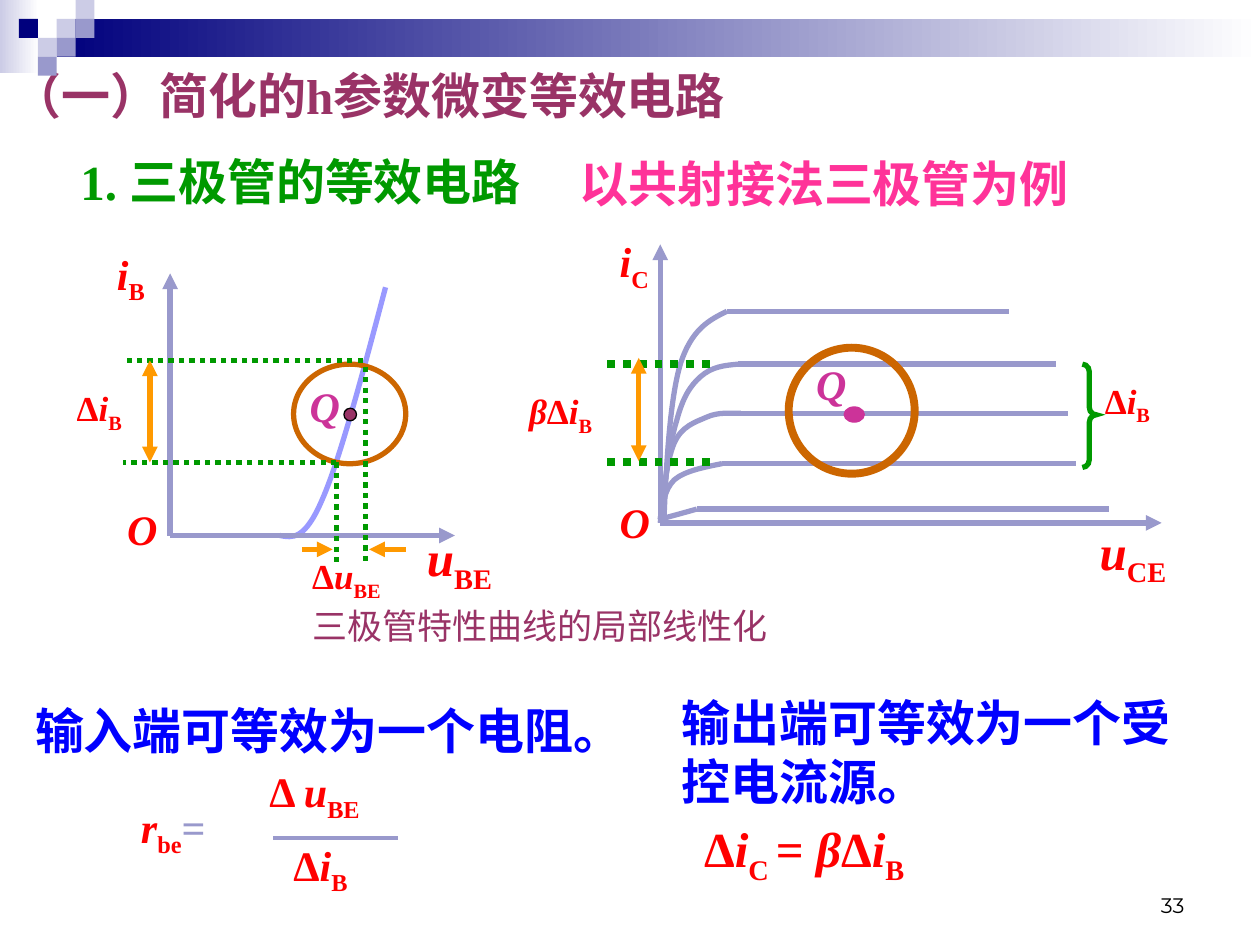
from lxml import etree
from pptx import Presentation
from pptx.dml.color import RGBColor
from pptx.enum.dml import MSO_LINE
from pptx.enum.shapes import MSO_CONNECTOR, MSO_SHAPE
from pptx.enum.text import MSO_ANCHOR, MSO_AUTO_SIZE, PP_ALIGN
from pptx.oxml.ns import qn
from pptx.util import Pt

SCALE = 9144
RECTANGLE, OVAL, BRACE = MSO_SHAPE.RECTANGLE, MSO_SHAPE.OVAL, MSO_SHAPE.RIGHT_BRACE
STRAIGHT, DOTTED = MSO_CONNECTOR.STRAIGHT, MSO_LINE.ROUND_DOT
LEFT, RIGHT = PP_ALIGN.LEFT, PP_ALIGN.RIGHT
TOP, BOTTOM = MSO_ANCHOR.TOP, MSO_ANCHOR.BOTTOM
GROWING, FIXED_SIZE = MSO_AUTO_SIZE.SHAPE_TO_FIT_TEXT, MSO_AUTO_SIZE.NONE

SERIF = "Times New Roman"
RED, GREEN, BLUE, PLUM = "FF0000", "009900", "0000FF", "993366"
AXIS, NAVY, PALE, WHITE = "9999CC", "00007D", "CCCCE6", "FFFFFF"
MAGENTA, ORANGE, BROWN = "CC3399", "FF9900", "CC6600"
DELTA_BASE_CURRENT = [("Δ", ""), ("i", "i"), ("B", "s")]
DELTA_BASE_VOLTAGE = [("u", "i"), ("BE", "s")]


def px(value):
    """Turn px, a hundred to the inch, into EMU."""
    return round(value * SCALE)


def color(hex_value):
    """Turn a hex string into a colour."""
    return RGBColor.from_string(hex_value)


def shift(origin, box):
    """Move the first two values of a box by the origin."""
    return (origin[0] + box[0], origin[1] + box[1], *box[2:])


def write(shape, runs, size, tint, bold=True, font=SERIF, align=LEFT, anchor=TOP,
          sizing=GROWING):
    """Fill a shape with runs whose style is i for italic or s for subscript."""
    frame = shape.text_frame
    frame_format = {"word_wrap": True, "auto_size": sizing, "vertical_anchor": anchor}
    for name, value in frame_format.items():
        setattr(frame, name, value)
    paragraph = frame.paragraphs[0]
    paragraph.alignment = align
    for text, style, *own_tint in runs:
        run = paragraph.add_run()
        run.text = text
        font_format = {"name": font, "size": Pt(size), "bold": bold, "italic": style == "i"}
        for name, value in font_format.items():
            setattr(run.font, name, value)
        run.font.color.rgb = color(own_tint[0] if own_tint else tint)
        if style == "s":
            run._r.get_or_add_rPr().set("baseline", "-25000")


def add_label(slide, origin, box, runs, size=24, tint=RED, **text_format):
    """Add a text box relative to the origin."""
    shape = slide.shapes.add_textbox(*map(px, shift(origin, box)))
    write(shape, runs, size, tint, **text_format)


def set_line(line, tint, width):
    """Give a line its colour and width."""
    line.color.rgb = color(tint)
    line.width = Pt(width)


def add_line(slide, origin, start, end, tint=AXIS, width=3, dotted=False, heads=()):
    """Add a straight line with triangles at the named ends."""
    ends = shift(origin, start) + shift(origin, end)
    connector = slide.shapes.add_connector(STRAIGHT, *map(px, ends))
    set_line(connector.line, tint, width)
    if dotted:
        connector.line.dash_style = DOTTED
    line_element = connector.line._get_or_add_ln()
    for head in heads:
        etree.SubElement(line_element, qn(f"a:{head}"), type="triangle")
    etree.SubElement(connector._element.spPr, qn("a:effectLst"))


def add_curve(slide, origin, points, tint=AXIS):
    """Draw joined cubic curves, each with two control points and an end."""
    points = [shift(origin, point) for point in points]
    builder = slide.shapes.build_freeform(*points[0], scale=SCALE)
    builder.add_line_segments(points[1:], close=False)
    shape = builder.convert_to_shape()
    segments = list(shape._element.iter(qn("a:lnTo")))
    outline = segments[0].getparent()
    for first in range(0, len(segments), 3):
        cubic = etree.SubElement(outline, qn("a:cubicBezTo"))
        for segment in segments[first:first + 3]:
            cubic.append(segment[0])
            outline.remove(segment)
    shape.shadow.inherit = False
    shape.fill.background()
    set_line(shape.line, tint, 3)


def add_block(slide, origin, box, kind, fill=None, line=None, width=0.75):
    """Add a preset shape; a pair of fill colours makes a gradient."""
    shape = slide.shapes.add_shape(kind, *map(px, shift(origin, box)))
    shape.shadow.inherit = False
    if isinstance(fill, tuple):
        shape.fill.gradient()
        shape.fill.gradient_angle = 0
        for stop, tint in zip(shape.fill.gradient_stops, fill):
            stop.color.rgb = color(tint)
    elif fill:
        shape.fill.solid()
        shape.fill.fore_color.rgb = color(fill)
    else:
        shape.fill.background()
    if line:
        set_line(shape.line, line, width)
    else:
        shape.line.fill.background()
    return shape


def add_header(slide, origin):
    """Draw the gradient bars and the checkered corner."""
    add_block(slide, origin, (0, 0, 31, 58), RECTANGLE, (PALE, WHITE))
    add_block(slide, origin, (45, 15, 955, 30), RECTANGLE, (NAVY, WHITE))
    squares = [(3, 1, PALE), (4, 0, PALE), (4, 1, AXIS), (2, 2, PALE),
               (1, 1, NAVY), (3, 2, AXIS), (2, 3, AXIS)]
    for column, row, tint in squares:
        add_block(slide, origin, (15 * column, 15 * row, 15, 15), RECTANGLE, tint)


def add_axes(slide, origin, zero, right, top):
    """Draw both arrowed axes from their zero point."""
    for end in ((right, zero[1]), (zero[0], top)):
        add_line(slide, origin, zero, end, heads=["tailEnd"])


def add_input_plot(slide, origin):
    """Draw the input characteristic with its working point."""
    add_curve(slide, origin, [(172, 235), (182, 237), (192, 239), (206, 206),
                              (220, 174), (238, 106), (256, 38)], "9999FF")
    add_axes(slide, origin, (85, 235), 311, 27)
    add_label(slide, origin, (33, 2, 55, 56), [("i", "i"), ("B", "s")])
    add_label(slide, origin, (279, 224, 87, 63), DELTA_BASE_VOLTAGE, 28)
    add_label(slide, origin, (41, 205, 55, 50), [("O", "i")])
    add_label(slide, origin, (1, 112, 80, 48), DELTA_BASE_CURRENT, 20)
    add_label(slide, origin, (186, 107, 53, 50), [("Q", "i")], tint=MAGENTA)
    add_block(slide, origin, (223, 134, 10, 10), OVAL, PLUM, "000000")
    add_block(slide, origin, (183, 99, 89, 79), OVAL, line=BROWN, width=3)
    for start, end in [((217, 177), (217, 256)), ((240, 101), (240, 259)),
                       ((217, 177), (48, 177)), ((238, 96), (51, 96))]:
        add_line(slide, origin, start, end, GREEN, dotted=True)
    add_line(slide, origin, (69, 96), (69, 177), ORANGE, heads=["headEnd", "tailEnd"])
    add_label(slide, origin, (188, 245, 130, 48), [("Δ", ""), *DELTA_BASE_VOLTAGE], 20)
    for start, end in ((272, 243), (190, 214)):
        add_line(slide, origin, (start, 246), (end, 246), ORANGE, heads=["tailEnd"])


def add_output_plot(slide, origin):
    """Draw the family of output characteristics with the working point."""
    family = [
        ([(114, 232), (116, 221), (117, 209), (125, 201), (133, 194), (148, 191), (163, 188)], 444),
        ([(114, 235), (117, 210), (119, 186), (125, 172), (131, 158), (142, 155), (151, 151),
          (160, 147), (169, 148), (178, 148)], 438),
        ([(114, 232), (114, 232), (129, 228), (143, 224)], 470),
        ([(114, 232), (118, 203), (121, 173), (127, 154), (132, 135), (138, 126), (146, 119),
          (155, 111), (165, 110), (176, 109)], 428),
        ([(117, 232), (119, 184), (122, 136), (130, 109), (139, 81), (153, 74), (167, 67)], 391),
    ]
    for points, right in family:
        add_curve(slide, origin, points)
        add_line(slide, origin, points[-1], (right, points[-1][1]))
    add_axes(slide, origin, (114, 235), 512, 14)
    add_label(slide, origin, (72, 209, 55, 50), [("O", "i")])
    add_label(slide, origin, (72, 2, 55, 56), [("i", "i"), ("C", "s")])
    add_label(slide, origin, (453, 229, 87, 63), [("u", "i"), ("CE", "s")], 28)
    add_block(slide, origin, (260, 143, 16, 12), OVAL, MAGENTA, MAGENTA)
    add_label(slide, origin, (228, 100, 53, 50), [("Q", "i")], tint=MAGENTA)
    add_label(slide, origin, (457, 116, 96, 48), DELTA_BASE_CURRENT, 20)
    add_label(slide, origin, (0, 124, 122, 48), [("β", "i"), *DELTA_BASE_CURRENT], 20)
    add_block(slide, origin, (216, 96, 100, 100), OVAL, line=BROWN, width=4.5)
    for level in (187, 109):
        add_line(slide, origin, (72, level), (154, level), GREEN, 4.5, dotted=True)
    brace = add_block(slide, origin, (449, 109, 11, 82), BRACE, line=GREEN, width=3)
    brace.adjustments[0], brace.adjustments[1] = 0.55, 0.49
    etree.SubElement(brace.line._get_or_add_ln(), qn("a:miter"), lim="800000")
    add_line(slide, origin, (97, 104), (97, 186), ORANGE, heads=["headEnd", "tailEnd"])


def add_resistance_formula(slide, origin):
    """Write the input resistance as a fraction."""
    add_label(slide, origin, (0, 29, 109, 56), [("r", "i"), ("be", "s"), ("=", "", AXIS)])
    add_label(slide, origin, (102, 1, 124, 56), [("Δ ", ""), *DELTA_BASE_VOLTAGE])
    add_label(slide, origin, (121, 59, 79, 56), DELTA_BASE_CURRENT)
    add_line(slide, origin, (115, 63), (214, 63), width=2.25)


def add_statements(slide, origin):
    """Write the subtitle, caption, conclusions and page number."""
    statements = [
        ((54, 115, 486, 57), "1. 三极管的等效电路", GREEN),
        ((450, 117, 511, 57), "以共射接法三极管为例", "FF3399"),
        ((18, 551, 595, 57), "输入端可等效为一个电阻。", BLUE),
        ((531, 545, 423, 104), "输出端可等效为一个受控电流源。", BLUE),
    ]
    for box, text, tint in statements:
        add_label(slide, origin, box, [(text, "")], 28, tint)
    add_label(slide, origin, (238, 475, 460, 44), [("三极管特性曲线的局部线性化", "")],
              20, PLUM, bold=False)
    gain = [("Δ", ""), ("i", "i"), ("C ", "s"), ("= ", ""), ("β", "i"), *DELTA_BASE_CURRENT]
    add_label(slide, origin, (549, 645, 256, 63), gain, 28)
    add_label(slide, origin, (717, 683, 233, 50), [("33", "")], 12, "000000", bold=False,
              font="Montserrat", align=RIGHT, anchor=BOTTOM, sizing=FIXED_SIZE)


def add_title(slide, box):
    """Move and format the title placeholder."""
    title = slide.shapes.title
    title.left, title.top, title.width, title.height = map(px, box)
    write(title, [("（一）简化的h参数微变等效电路", "")], 28, PLUM)


def main():
    """Build the slide and save it."""
    presentation = Presentation()
    presentation.slide_width, presentation.slide_height = px(1000), px(750)
    slide = presentation.slides.add_slide(presentation.slide_layouts[5])
    add_header(slide, (0, 0))
    add_title(slide, (0, 47, 722, 57))
    add_input_plot(slide, (50, 190))
    add_output_plot(slide, (410, 180))
    add_statements(slide, (0, 0))
    add_resistance_formula(slide, (102, 602))
    presentation.save("out.pptx")


if __name__ == "__main__":
    main()
